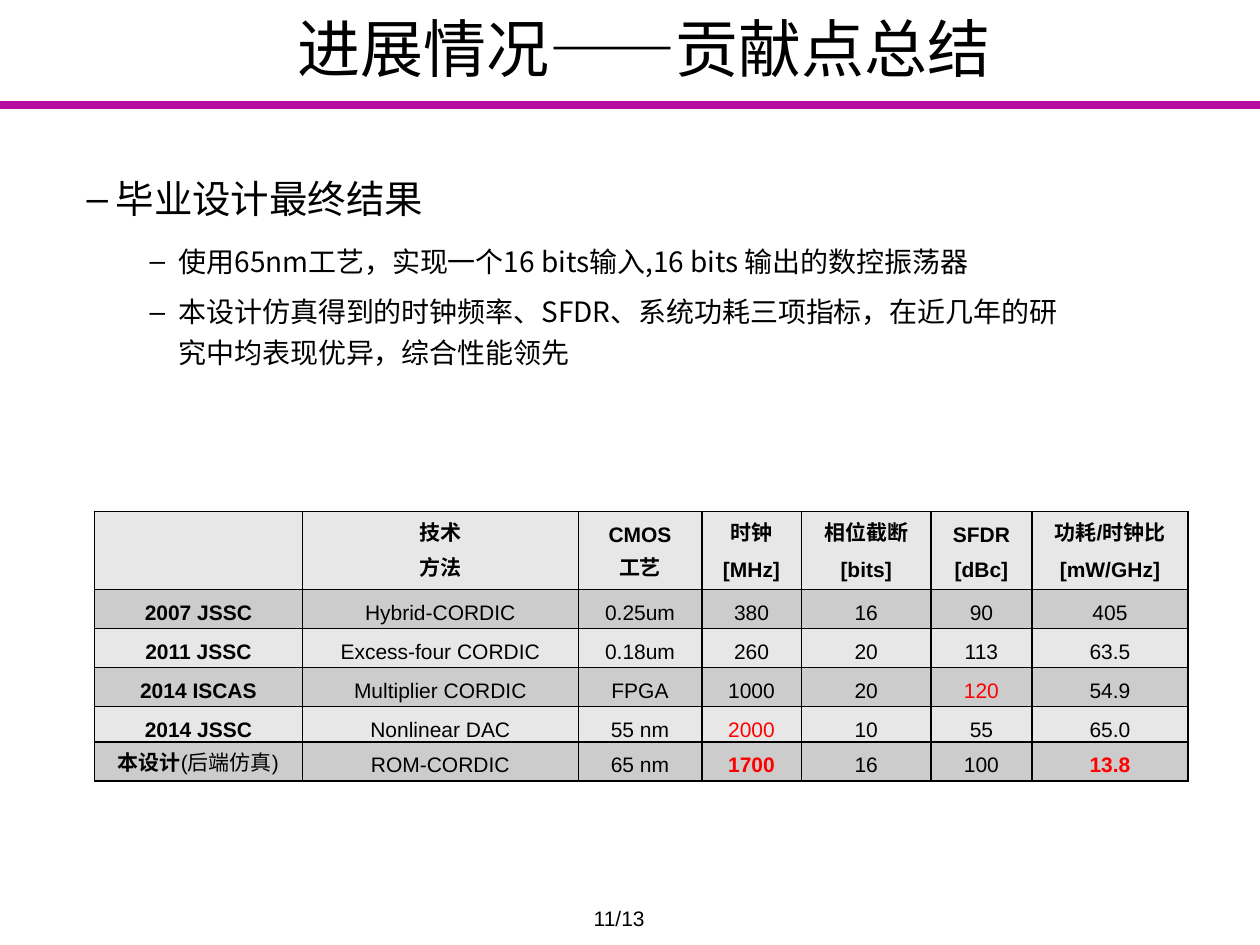
from lxml import etree
from pptx import Presentation
from pptx import util as u
from pptx.dml import color
from pptx.enum import shapes, text
from pptx.oxml import ns

Inches, Pt = u.Inches, u.Pt
BLACK, RED, PURPLE = "000000", "FF0000", "B70D9F"
LIGHT, DARK = "E7E7E7", "CCCCCC"

HEADINGS = ["", "技术\n方法", "CMOS\n工艺", "时钟\n[MHz]", "相位截断\n[bits]",
            "SFDR\n[dBc]", "功耗/时钟比\n[mW/GHz]"]
RESULTS = [
    ["2007 JSSC", "Hybrid-CORDIC", "0.25um", "380", "16", "90", "405"],
    ["2011 JSSC", "Excess-four CORDIC", "0.18um", "260", "20", "113", "63.5"],
    ["2014 ISCAS", "Multiplier CORDIC", "FPGA", "1000", "20", "120", "54.9"],
    ["2014 JSSC", "Nonlinear DAC", "55 nm", "2000", "10", "55", "65.0"],
    ["本设计", "ROM-CORDIC", "65 nm", "1700", "16", "100", "13.8"],
]
COLUMN_WIDTHS = [1.65, 2.19, 0.98, 0.79, 1.03, 0.8, 1.24]
ROW_HEIGHTS = [0.62, 0.31, 0.31, 0.31, 0.27, 0.31]
BEST_VALUES = {"120", "2000", "1700", "13.8"}
BOLD_VALUES = {"1700", "13.8"}


def rgb(value):
    return color.RGBColor.from_string(value)


def add_xml(parent, tag, **attributes):
    return etree.SubElement(parent, ns.qn(tag), attributes)


class Page:
    latin = "Arial"
    chinese = "Noto Sans CJK SC"

    def __init__(self, deck):
        self.slide = deck.slides.add_slide(deck.slide_layouts[6])

    def style(self, span, size, shade=BLACK, bold=False, font=None):
        span.font.size = Pt(size)
        span.font.bold = bold
        span.font.color.rgb = rgb(shade)
        span.font.name = font or self.latin
        add_xml(span._r.get_or_add_rPr(), "a:ea", typeface=self.chinese)

    def indent(self, para, left, first=0):
        properties = para._p.get_or_add_pPr()
        properties.set("marL", str(Inches(left)))
        properties.set("indent", str(Inches(first)))
        return properties

    def rule(self, y, width, shade):
        line = self.slide.shapes.add_connector(
            shapes.MSO_CONNECTOR.STRAIGHT, 0, Inches(y), Inches(10), Inches(y))
        line.line.color.rgb = rgb(shade)
        line.line.width = Pt(width)
        add_xml(line._element.spPr, "a:effectLst")

    def box(self, left, top, width, height):
        frame = self.slide.shapes.add_textbox(
            Inches(left), Inches(top), Inches(width), Inches(height)).text_frame
        frame.word_wrap = True
        return frame

    def label(self, words, place, size, left=0, anchor=text.MSO_ANCHOR.TOP):
        frame = self.box(*place)
        frame.vertical_anchor = anchor
        frame.text = words
        para = frame.paragraphs[0]
        para.alignment = text.PP_ALIGN.CENTER
        self.indent(para, left)
        self.style(para.runs[0], size)

    def bullets(self, items, place):
        frame = self.box(*place)
        frame.text = "\n".join(words for _, words in items)
        for para, (level, _) in zip(frame.paragraphs, items):
            size, left, gap = {1: (22, 0.61, 6), 2: (16, 1.11, 3)}[level]
            para.level = level
            para.line_spacing = 1.2
            para.space_before = para.space_after = Pt(gap)
            properties = self.indent(para, left, -0.23)
            add_xml(properties, "a:buFont", typeface=self.latin)
            add_xml(properties, "a:buChar", char="–")
            self.style(para.runs[0], size, font=self.chinese)

    def cell(self, cell, words, fill, shade=BLACK, bold=False):
        cell.margin_left = cell.margin_right = Inches(0.08)
        cell.margin_top = cell.margin_bottom = 0
        cell.text_frame.text = words
        for para in cell.text_frame.paragraphs:
            para.alignment = text.PP_ALIGN.CENTER
            para.line_spacing = Pt(20)
            for span in para.runs:
                self.style(span, 12, shade, bold)
        # Borders come before the fill in the cell properties
        properties = cell._tc.get_or_add_tcPr()
        for side in ("a:lnL", "a:lnR", "a:lnT", "a:lnB"):
            border = add_xml(properties, side, w=str(Pt(1)))
            add_xml(add_xml(border, "a:solidFill"), "a:srgbClr", val=BLACK)
        cell.fill.solid()
        cell.fill.fore_color.rgb = rgb(fill)

    def table(self, rows, left, top):
        table = self.slide.shapes.add_table(
            len(rows), len(COLUMN_WIDTHS), Inches(left), Inches(top),
            Inches(sum(COLUMN_WIDTHS)), Inches(sum(ROW_HEIGHTS))).table
        for column, width in zip(table.columns, COLUMN_WIDTHS):
            column.width = Inches(width)
        for i, values in enumerate(rows):
            table.rows[i].height = Inches(ROW_HEIGHTS[i])
            for j, words in enumerate(values):
                self.cell(table.cell(i, j), words, DARK if i % 2 else LIGHT,
                          RED if words in BEST_VALUES else BLACK,
                          i == 0 or j == 0 or words in BOLD_VALUES)
        return table


def main():
    deck = Presentation()
    deck.slide_width, deck.slide_height = Inches(10), Inches(7.5)
    page = Page(deck)

    # Title and rule
    page.rule(0.83, 4.5, PURPLE)
    page.label("进展情况——贡献点总结", (0.42, -0.25, 9, 1.25), 36,
               left=0.38, anchor=text.MSO_ANCHOR.MIDDLE)

    # Findings
    page.bullets([
        (1, "毕业设计最终结果"),
        (2, "使用65nm工艺，实现一个16 bits输入,16 bits 输出的数控振荡器"),
        (2, "本设计仿真得到的时钟频率、SFDR、系统功耗三项指标，"
            "在近几年的研究中均表现优异，综合性能领先"),
    ], (0.21, 1.27, 8.31, 1.73))

    # Comparison table, with a lighter remark after the last row's name
    table = page.table([HEADINGS] + RESULTS, 0.75, 4.06)
    remark = table.cell(len(RESULTS), 0).text_frame.paragraphs[0].add_run()
    remark.text = "(后端仿真)"
    page.style(remark, 12)

    # Page number
    page.label("11/13", (3.33, 7.14, 3.17, 0.52), 12)

    deck.save("out.pptx")


if __name__ == "__main__":
    main()
